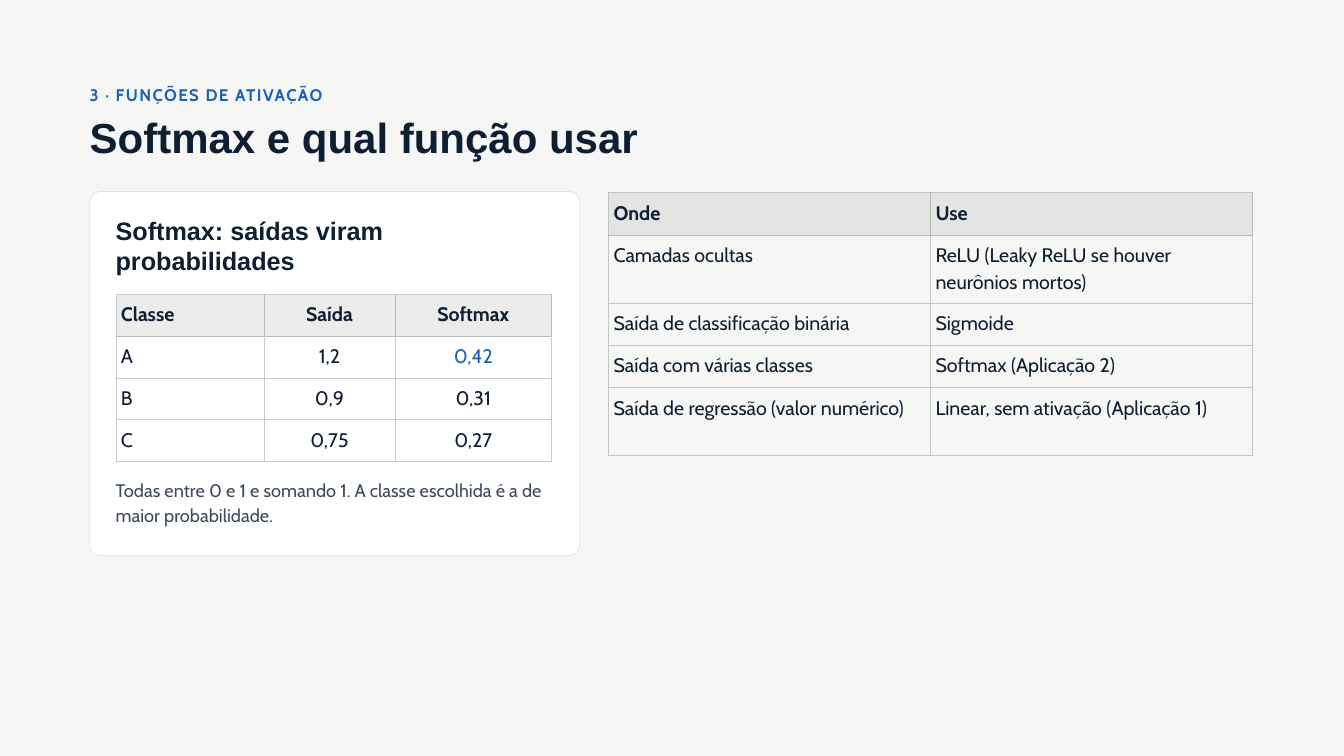
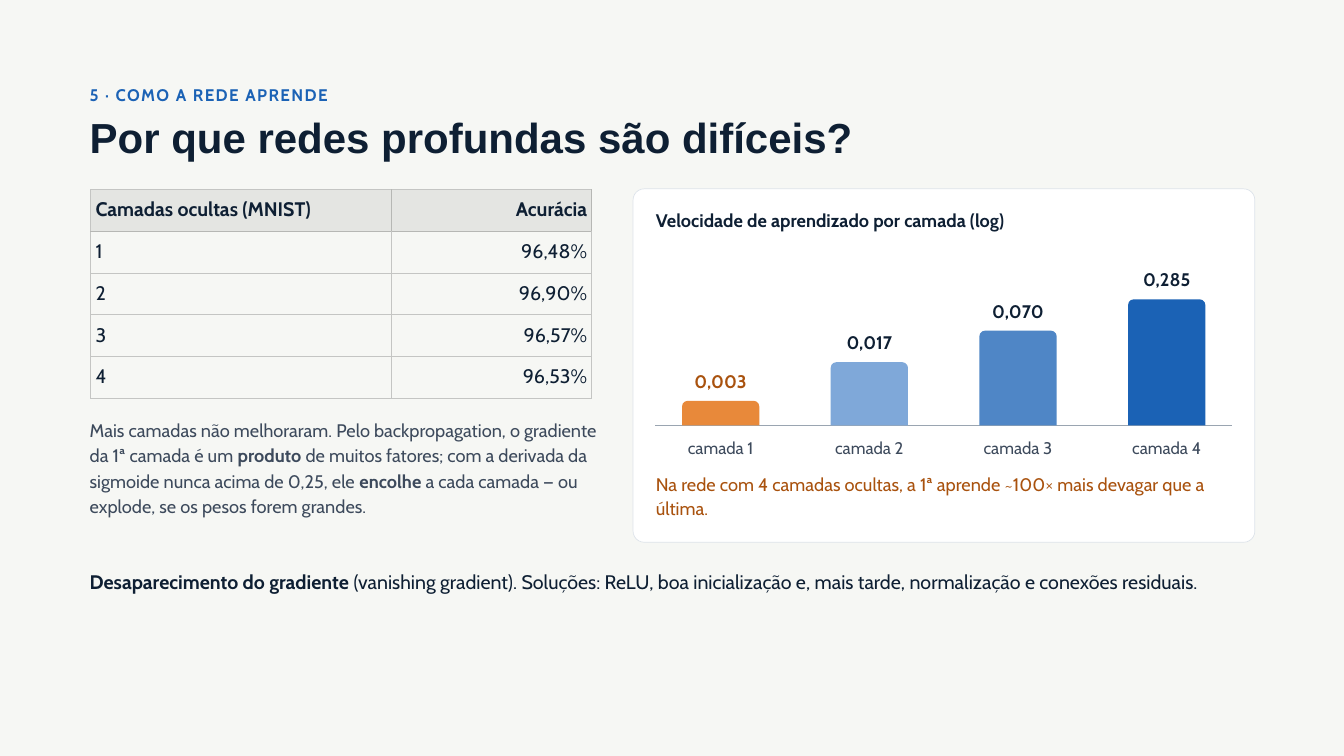
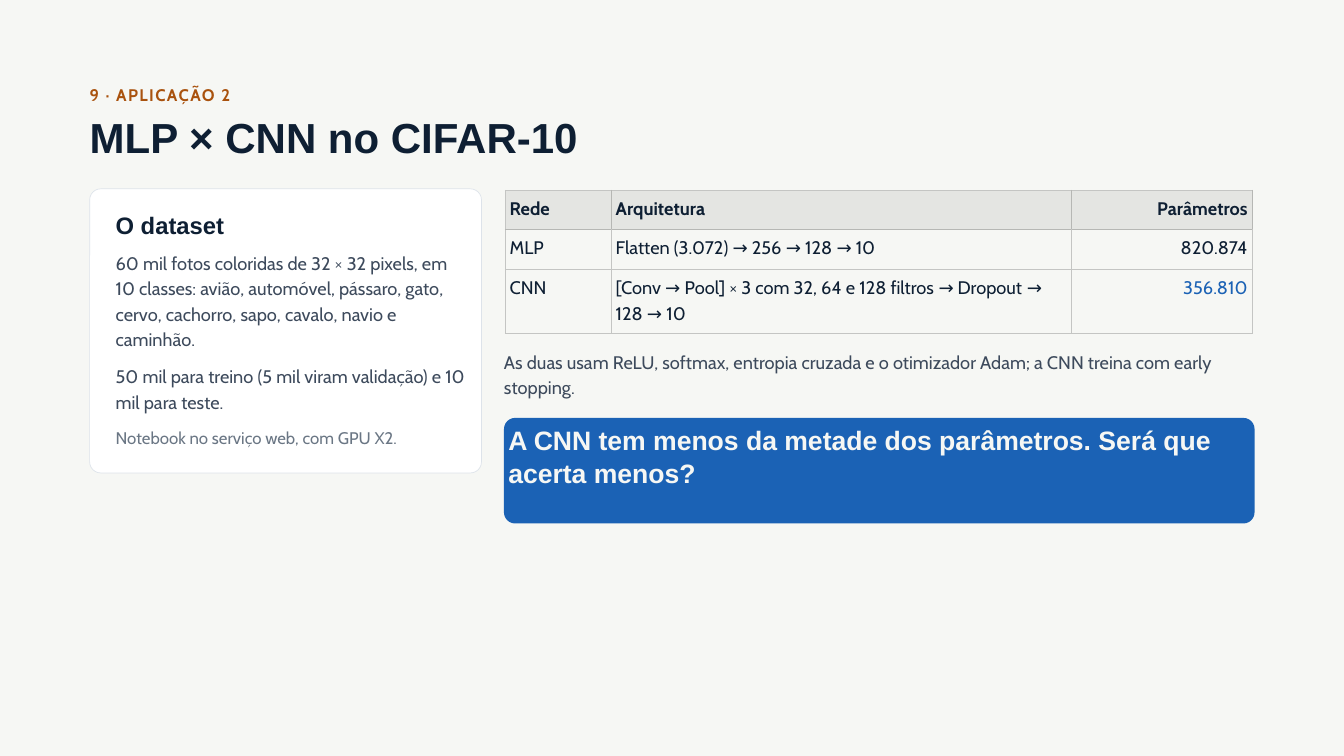
from dataclasses import dataclass
from math import log10

from lxml.etree import SubElement
from pptx import Presentation
from pptx.dml.color import RGBColor
from pptx.enum.shapes import MSO_CONNECTOR, MSO_SHAPE
from pptx.enum.text import MSO_ANCHOR, MSO_AUTO_SIZE, PP_ALIGN
from pptx.oxml.ns import qn
from pptx.util import Cm, Pt

LEFT, CENTER, RIGHT = PP_ALIGN.LEFT, PP_ALIGN.CENTER, PP_ALIGN.RIGHT
MARGIN, CONTENT_WIDTH = 3.39, 45.34
CARD_TEXT_LEFT = 4.37


@dataclass(frozen=True)
class TextStyle:
    """Font, size, line height, colour and weight of a kind of text."""
    font: str
    size: float
    leading: float
    color: str
    bold: bool = False
    tracking: float = 0


@dataclass(frozen=True)
class TableStyle:
    """Header fill, grid colours, text style and padding of a kind of table."""
    header: str
    grid: str
    header_grid: str
    text: TextStyle
    padding: float = 0.18


class Theme:
    """Colours and type sizes shared by the slides."""
    paper, white, card_edge = "F6F7F4", "FFFFFF", "DDE3EA"
    ink, slate, gray, axis = "0E1F33", "3D4A5C", "6A7684", "9AA5B1"
    blue, rust = "1B62B5", "A9520E"
    bars = ("E8893A", "7FA8D9", "4F86C6", blue)
    radius = 0.42

    kicker = TextStyle("Cabin", 18, 25.2, blue, True, 1.5)
    kicker_application = TextStyle("Cabin", 18, 25.2, rust, True, 1.5)
    title = TextStyle("Arial", 45, 49.5, ink, True)
    heading = TextStyle("Arial", 27, 32.4, ink, True)
    small_heading = TextStyle("Arial", 25.5, 30.6, ink, True)
    callout = TextStyle("Arial", 28.5, 35.6, paper, True)
    body = TextStyle("Cabin", 19.5, 27.3, slate)
    statement = TextStyle("Cabin", 21, 29.4, ink)
    footnote = TextStyle("Cabin", 18, 25.2, gray)
    chart_title = TextStyle("Cabin", 19.5, 26.3, ink, True)
    chart_note = TextStyle("Cabin", 19.5, 26.3, rust)
    bar_value = TextStyle("Cabin", 19.5, 27.3, ink, True)
    bar_value_low = TextStyle("Cabin", 19.5, 27.3, rust, True)
    bar_name = TextStyle("Cabin", 18, 25.2, slate)

    page_table = TableStyle("E4E5E2", "C4C5C3", "B6B7B4", statement)
    card_table = TableStyle("ECECEC", "CBCBCB", "BCBCBC", statement)
    compact_table = TableStyle("E4E5E2", "C4C5C3", "B6B7B4",
                               TextStyle("Cabin", 19.5, 27.3, ink), 0.16)


def apply(target, values):
    """Set each attribute named in values on the target."""
    for name, value in values.items():
        setattr(target, name, value)


def rgb(color):
    """Turn a hex string into a colour."""
    return RGBColor.from_string(color)


def place(shape, left, top, width, height):
    """Move and size a shape in centimetres."""
    apply(shape, {"left": Cm(left), "top": Cm(top), "width": Cm(width), "height": Cm(height)})


def write(frame, paragraphs, align=LEFT, gap=0):
    """Write (text, style) paragraphs, where ** switches the weight."""
    for index, (text, style) in enumerate(paragraphs):
        paragraph = frame.add_paragraph() if index else frame.paragraphs[0]
        apply(paragraph, {"alignment": align, "line_spacing": Pt(style.leading),
                          "space_before": Pt(gap if index else 0)})
        for part, words in enumerate(text.split("**")):
            if not words:
                continue
            run = paragraph.add_run()
            run.text = words
            apply(run.font, {"name": style.font, "size": Pt(style.size),
                             "bold": style.bold != (part % 2 == 1)})
            run.font.color.rgb = rgb(style.color)
            if style.tracking:
                run.font._element.set("spc", str(int(style.tracking * 100)))


def prepare_frame(frame, inset=0):
    """Give a text frame fixed size, top anchoring and even insets."""
    sides = ("margin_left", "margin_top", "margin_right", "margin_bottom")
    apply(frame, {"word_wrap": True, "auto_size": MSO_AUTO_SIZE.NONE,
                  "vertical_anchor": MSO_ANCHOR.TOP, **dict.fromkeys(sides, Cm(inset))})
    return frame


def add_text(slide, box, text, style, align=LEFT):
    """Add a text box with one paragraph."""
    text_box = slide.shapes.add_textbox(*map(Cm, box))
    write(prepare_frame(text_box.text_frame), [(text, style)], align)


def add_body(slide, box, paragraphs, gap=0):
    """Fill the body placeholder with plain paragraphs in front of the cards."""
    body = slide.placeholders[1]
    slide.shapes._spTree.append(body._element)
    place(body, *box)
    write(prepare_frame(body.text_frame), paragraphs, gap=gap)
    for paragraph in body.text_frame.paragraphs:
        properties = paragraph._p.get_or_add_pPr()
        apply_xml = {"marL": "0", "indent": "0"}
        for name, value in apply_xml.items():
            properties.set(name, value)
        SubElement(properties, qn("a:buNone"))


def add_rounded(slide, box, fill, edge=None, radius=Theme.radius,
                preset=MSO_SHAPE.ROUNDED_RECTANGLE):
    """Add a filled shape whose corners have a fixed radius."""
    shape = slide.shapes.add_shape(preset, *map(Cm, box))
    shape.shadow.inherit = False
    shape.adjustments[0] = radius / min(box[2:])
    shape.fill.solid()
    shape.fill.fore_color.rgb = rgb(fill)
    if edge:
        shape.line.color.rgb = rgb(edge)
        shape.line.width = Pt(0.75)
    else:
        shape.line.fill.background()
    return shape


def add_card(slide, *box):
    """Add a white card."""
    add_rounded(slide, box, Theme.white, Theme.card_edge)


def add_callout(slide, box, text):
    """Add a blue panel with a closing question."""
    panel = add_rounded(slide, box, Theme.blue)
    write(prepare_frame(panel.text_frame, 0.04), [(text, Theme.callout)])


def draw_cell_grid(cell, row, column, style):
    """Draw the four cell borders, darker around the header."""
    properties = cell._tc.get_or_add_tcPr()
    for side in "LRTB":
        around_header = (row == 0 and (side in "RB" or side == "L" and column > 0)
                         or row == 1 and side == "T")
        border = SubElement(properties, qn(f"a:ln{side}"), w=str(Pt(1)))
        fill = SubElement(border, qn("a:solidFill"))
        SubElement(fill, qn("a:srgbClr"),
                   val=style.header_grid if around_header else style.grid)


def add_grid(slide, left, top, widths, heights, rows, aligns, style, accent=None):
    """Add a table with a shaded header and an optional accented cell."""
    frame = slide.shapes.add_table(len(rows), len(widths), Cm(left), Cm(top),
                                   Cm(sum(widths)), Cm(sum(heights)))
    table = frame.table
    apply(table, {"first_row": False, "horz_banding": False})
    for column, width in zip(table.columns, widths):
        column.width = Cm(width)
    for line, height in zip(table.rows, heights):
        line.height = Cm(height)
    sides = ("margin_left", "margin_top", "margin_right", "margin_bottom")
    for row, texts in enumerate(rows):
        for column, text in enumerate(texts):
            cell = table.cell(row, column)
            apply(cell, dict.fromkeys(sides, Cm(style.padding)))
            draw_cell_grid(cell, row, column, style)
            color = Theme.blue if (row, column) == accent else style.text.color
            cell_style = TextStyle(style.text.font, style.text.size, style.text.leading,
                                   color, row == 0)
            write(cell.text_frame, [(text, cell_style)], aligns[column])
            if row == 0:
                cell.fill.solid()
                cell.fill.fore_color.rgb = rgb(style.header)
            else:
                cell.fill.background()


def add_log_bars(slide, values):
    """Draw layer speeds as bars on a logarithmic scale starting at 0.001."""
    baseline, first_center, pitch, bar_width, decade = 16.08, 27.24, 5.62, 2.92, 1.94
    axis = slide.shapes.add_connector(MSO_CONNECTOR.STRAIGHT, Cm(24.77), Cm(baseline),
                                      Cm(46.58), Cm(baseline))
    axis.line.color.rgb = rgb(Theme.axis)
    axis.line.width = Pt(0.75)
    SubElement(axis._element.spPr, qn("a:effectLst"))
    for index, (value, color) in enumerate(zip(values, Theme.bars)):
        center = first_center + index * pitch
        height = decade * log10(value / 0.001)
        top = baseline - height
        add_rounded(slide, (center - bar_width / 2, top, bar_width, height), color,
                    radius=0.21, preset=MSO_SHAPE.ROUND_2_SAME_RECTANGLE)
        add_text(slide, (center - 1.12, top - 1.3, 2.24, 1.17),
                 f"{value:.3f}".replace(".", ","),
                 Theme.bar_value if index else Theme.bar_value_low, CENTER)
        add_text(slide, (center - 2.55, 16.43, 5.1, 1.09),
                 f"camada {index + 1}", Theme.bar_name, CENTER)


def add_slide(deck, kicker, title, kicker_style=Theme.kicker):
    """Add a slide with its section line and title."""
    slide = deck.slides.add_slide(deck.slide_layouts[1])
    add_text(slide, (MARGIN, 3.07, CONTENT_WIDTH, 1.09), kicker, kicker_style)
    heading = slide.shapes.title
    place(heading, MARGIN, 4.39, CONTENT_WIDTH, 1.8)
    write(prepare_frame(heading.text_frame), [(title, Theme.title)])
    return slide


def build_softmax(deck):
    """Build the slide on softmax and the choice of activation."""
    slide = add_slide(deck, "3 · FUNÇÕES DE ATIVAÇÃO", "Softmax e qual função usar")
    add_card(slide, MARGIN, 7.24, 18.52, 13.77)
    add_text(slide, (CARD_TEXT_LEFT, 8.15, 16.9, 2.44),
             "Softmax: saídas viram probabilidades", Theme.heading)
    add_grid(slide, 4.39, 11.13, (5.59, 4.95, 5.92), [1.58] * 4, [
        ("Classe", "Saída", "Softmax"),
        ("A", "1,2", "0,42"),
        ("B", "0,9", "0,31"),
        ("C", "0,75", "0,27"),
    ], (LEFT, CENTER, CENTER), Theme.card_table, accent=(1, 2))
    add_body(slide, (CARD_TEXT_LEFT, 17.98, 17.07, 2.13), [
        ("Todas entre 0 e 1 e somando 1. A classe escolhida é a de maior probabilidade.",
         Theme.body)])
    add_grid(slide, 23.01, 7.29, (12.17, 12.17), (1.6, 2.57, 1.6, 1.6, 2.57), [
        ("Onde", "Use"),
        ("Camadas ocultas", "ReLU (Leaky ReLU se houver neurônios mortos)"),
        ("Saída de classificação binária", "Sigmoide"),
        ("Saída com várias classes", "Softmax (Aplicação 2)"),
        ("Saída de regressão (valor numérico)", "Linear, sem ativação (Aplicação 1)"),
    ], (LEFT, LEFT), Theme.page_table)


def build_deep_networks(deck):
    """Build the slide on the vanishing gradient."""
    slide = add_slide(deck, "5 · COMO A REDE APRENDE", "Por que redes profundas são difíceis?")
    add_grid(slide, 3.43, 7.16, (11.35, 7.59), [1.58] * 5, [
        ("Camadas ocultas (MNIST)", "Acurácia"),
        ("1", "96,48%"),
        ("2", "96,90%"),
        ("3", "96,57%"),
        ("4", "96,53%"),
    ], (LEFT, RIGHT), Theme.page_table)
    add_body(slide, (MARGIN, 15.7, 19.61, 4.06), [
        ("Mais camadas não melhoraram. Pelo backpropagation, o gradiente da 1ª camada é um "
         "**produto** de muitos fatores; com a derivada da sigmoide nunca acima de 0,25, ele "
         "**encolhe** a cada camada — ou explode, se os pesos forem grandes.", Theme.body)])
    add_card(slide, 23.93, 7.14, 23.5, 13.36)
    add_text(slide, (24.79, 7.82, 22.4, 1.12),
             "Velocidade de aprendizado por camada (log)", Theme.chart_title)
    add_log_bars(slide, (0.003, 0.017, 0.070, 0.285))
    add_text(slide, (24.79, 17.78, 22.4, 2.03),
             "Na rede com 4 camadas ocultas, a 1ª aprende ~100× mais devagar que a última.",
             Theme.chart_note)
    add_text(slide, (MARGIN, 21.41, CONTENT_WIDTH, 2.31),
             "**Desaparecimento do gradiente** (vanishing gradient). Soluções: ReLU, boa "
             "inicialização e, mais tarde, normalização e conexões residuais.", Theme.statement)


def build_cifar(deck):
    """Build the slide comparing two networks on CIFAR-10."""
    slide = add_slide(deck, "9 · APLICAÇÃO 2", "MLP × CNN no CIFAR-10", Theme.kicker_application)
    add_card(slide, MARGIN, 7.14, 14.81, 10.74)
    add_text(slide, (CARD_TEXT_LEFT, 7.98, 13.26, 1.22), "O dataset", Theme.small_heading)
    add_body(slide, (CARD_TEXT_LEFT, 9.4, 13.26, 7.72), [
        ("60 mil fotos coloridas de 32 × 32 pixels, em 10 classes: avião, automóvel, pássaro, "
         "gato, cervo, cachorro, sapo, cavalo, navio e caminhão.", Theme.body),
        ("50 mil para treino (5 mil viram validação) e 10 mil para teste.", Theme.body),
        ("Notebook no serviço web, com GPU X2.", Theme.footnote)], gap=12)
    add_grid(slide, 19.1, 7.19, (4.01, 17.4, 6.81), (1.5, 1.5, 2.41), [
        ("Rede", "Arquitetura", "Parâmetros"),
        ("MLP", "Flatten (3.072) → 256 → 128 → 10", "820.874"),
        ("CNN", "[Conv → Pool] × 3 com 32, 64 e 128 filtros → Dropout → 128 → 10", "356.810"),
    ], (LEFT, LEFT, RIGHT), Theme.compact_table, accent=(2, 2))
    add_text(slide, (19.05, 13.13, 29.21, 2.13),
             "As duas usam ReLU, softmax, entropia cruzada e o otimizador Adam; "
             "a CNN treina com early stopping.", Theme.body)
    add_callout(slide, (19.05, 15.8, 28.37, 3.99),
                "A CNN tem menos da metade dos parâmetros. Será que acerta menos?")


def main():
    """Build and save the deck."""
    deck = Presentation()
    apply(deck, {"slide_width": Cm(50.8), "slide_height": Cm(28.58)})
    background = deck.slide_master.background.fill
    background.solid()
    background.fore_color.rgb = rgb(Theme.paper)
    for build in (build_softmax, build_deep_networks, build_cifar):
        build(deck)
    deck.save("out.pptx")


if __name__ == "__main__":
    main()
